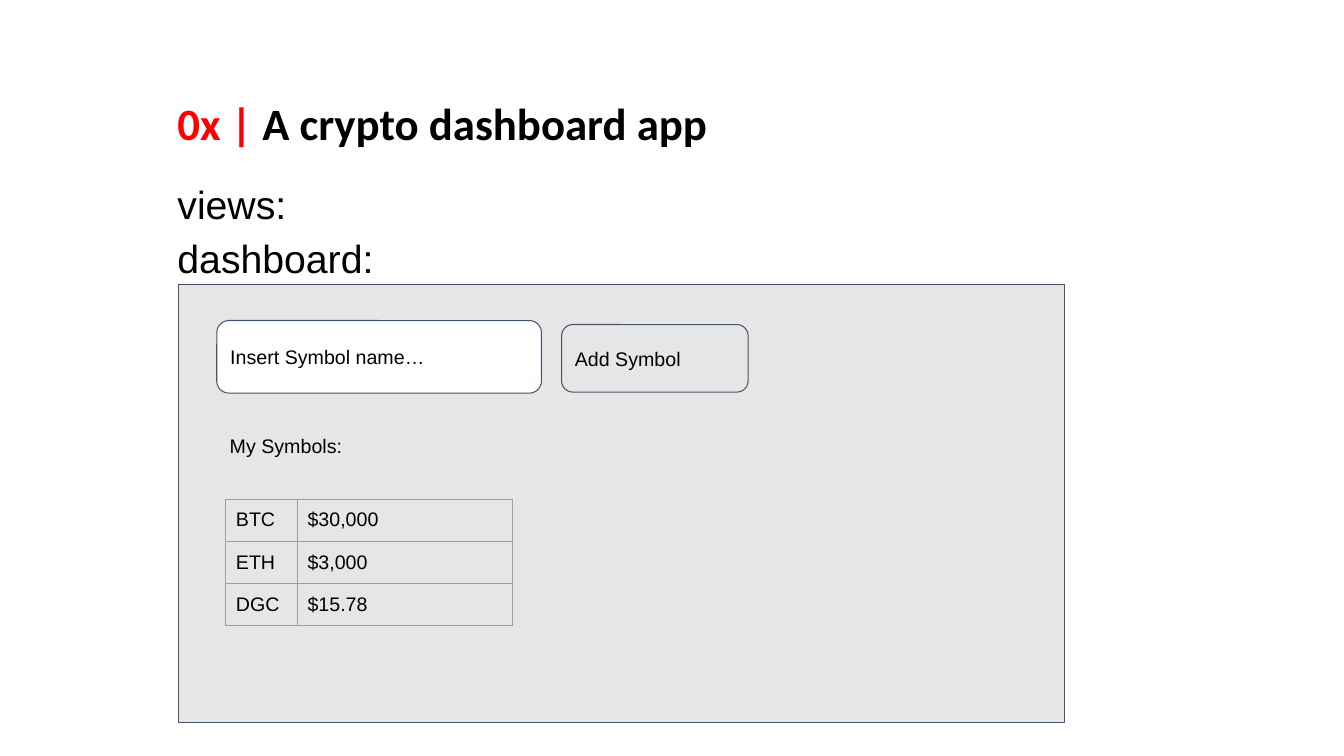
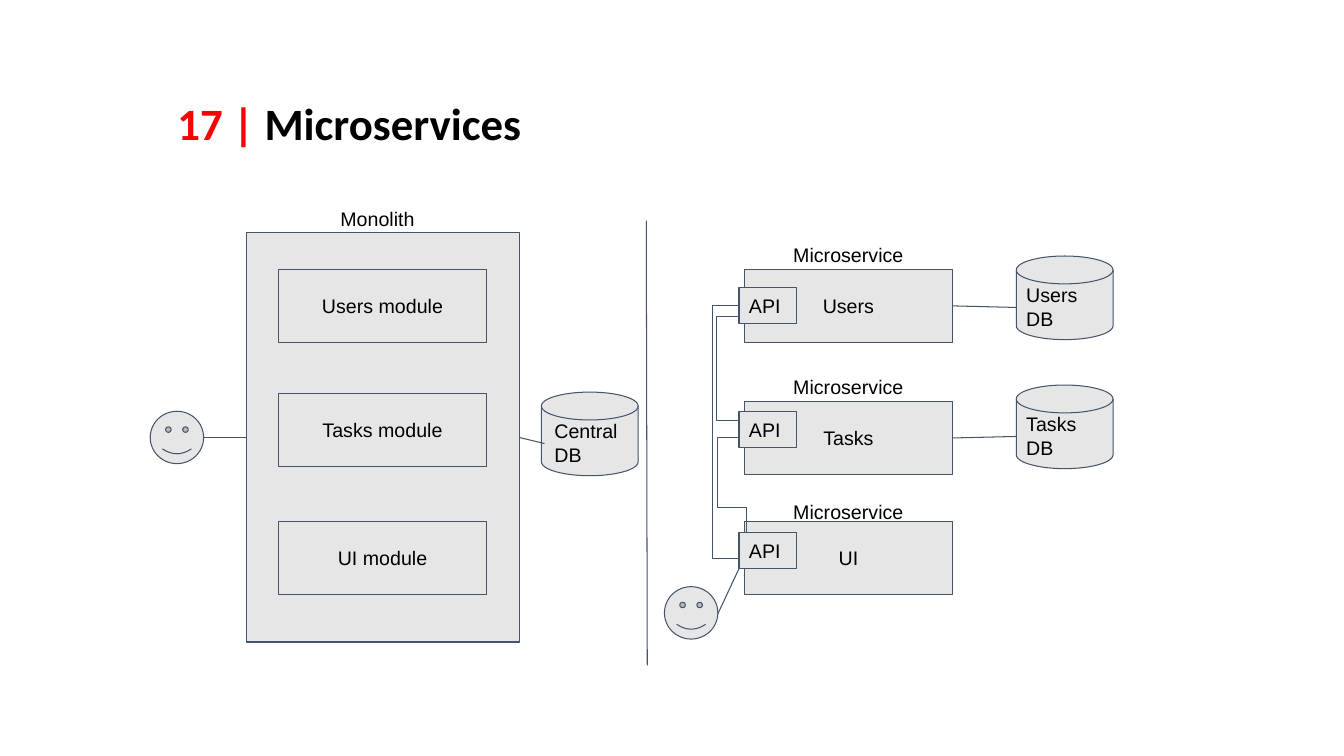
from lxml import etree
from pptx import Presentation
from pptx.dml.color import RGBColor
from pptx.enum.shapes import MSO_CONNECTOR, MSO_SHAPE
from pptx.enum.text import MSO_ANCHOR, MSO_AUTO_SIZE, PP_ALIGN
from pptx.oxml.ns import qn
from pptx.util import Emu, Pt

PX = 9144
RED = RGBColor(0xFF, 0x00, 0x00)
BLACK = RGBColor(0x00, 0x00, 0x00)
WHITE = RGBColor(0xFF, 0xFF, 0xFF)
GRAY = RGBColor(0xE7, 0xE6, 0xE6)
SLATE = RGBColor(0x44, 0x54, 0x6A)
GRID = RGBColor(0x9E, 0x9E, 0x9E)
RECT, ROUND = MSO_SHAPE.RECTANGLE, MSO_SHAPE.ROUNDED_RECTANGLE
DISK, SMILEY = MSO_SHAPE.FLOWCHART_MAGNETIC_DISK, MSO_SHAPE.SMILEY_FACE
STRAIGHT, ELBOW = MSO_CONNECTOR.STRAIGHT, MSO_CONNECTOR.ELBOW
LEFT, CENTER = PP_ALIGN.LEFT, PP_ALIGN.CENTER
TOP, MIDDLE = MSO_ANCHOR.TOP, MSO_ANCHOR.MIDDLE
NO_FIT = MSO_AUTO_SIZE.NONE
SITE_LEFT, SITE_RIGHT = 1, 3

LABEL_FONT = {"name": "Arial", "size": Pt(14)}
BODY_FONT = {"name": "Arial", "size": Pt(28)}
TITLE_FONT = {"name": "Calibri", "size": Pt(32), "bold": True}
LINE_WIDTH = Pt(0.75)
CONTENT_LAYOUT, TITLE_LAYOUT = 1, 5
TITLE_BOX = (166, 96, 1000, 67)
PERSON = (53, 52)
DISK_SIZE = (96, 83)
MODULE_SIZE = (207, 73)


def emu(*lengths):
    return [Emu(length * PX) for length in lengths]


def apply(target, values):
    for name, value in values.items():
        setattr(target, name, value)


def place(shape, box):
    apply(shape, dict(zip(("left", "top", "width", "height"), emu(*box))))


def set_frame(frame, anchor, inset=10):
    side, edge = emu(10, inset)
    apply(frame, {"word_wrap": True, "auto_size": NO_FIT, "vertical_anchor": anchor,
                  "margin_left": side, "margin_right": side,
                  "margin_top": edge, "margin_bottom": edge})


def write(para, text, font, color=BLACK):
    span = para.add_run()
    span.text = text
    apply(span.font, font)
    span.font.color.rgb = color


def add_label(page, box, text, align=LEFT):
    label = page.shapes.add_textbox(*emu(*box))
    set_frame(label.text_frame, TOP)
    para = label.text_frame.paragraphs[0]
    para.alignment = align
    write(para, text, LABEL_FONT)


def add_block(page, kind, box, text="", align=LEFT, fill=GRAY, outlined=True):
    block = page.shapes.add_shape(kind, *emu(*box))
    block.shadow.inherit = False
    block.fill.solid()
    block.fill.fore_color.rgb = fill
    if outlined:
        block.line.color.rgb = SLATE
        block.line.width = LINE_WIDTH
    else:
        block.line.fill.background()
    if text:
        set_frame(block.text_frame, MIDDLE)
        para = block.text_frame.paragraphs[0]
        para.alignment = align
        write(para, text, LABEL_FONT)
    return block


def add_line(page, start, finish, kind=STRAIGHT):
    line = page.shapes.add_connector(kind, *emu(*start, *finish))
    line.line.color.rgb = SLATE
    line.line.width = LINE_WIDTH
    etree.SubElement(line.element.spPr, qn("a:effectLst"))
    return line


def add_elbow(page, start, finish, bend):
    line = add_line(page, start, finish, ELBOW)
    geometry = line.element.spPr.find(qn("a:prstGeom"))
    guides = geometry.find(qn("a:avLst"))
    if guides is None:
        guides = etree.SubElement(geometry, qn("a:avLst"))
    ratio = round((bend - start[0]) / (finish[0] - start[0]) * 100000)
    etree.SubElement(guides, qn("a:gd"), name="adj1", fmla=f"val {ratio}")


def add_page(deck, layout, number, title):
    page = deck.slides.add_slide(deck.slide_layouts[layout])
    heading = page.shapes.title
    place(heading, TITLE_BOX)
    set_frame(heading.text_frame, TOP, 5)
    para = heading.text_frame.paragraphs[0]
    apply(para, {"alignment": LEFT, "line_spacing": 0.9})
    write(para, f"{number} | ", TITLE_FONT, RED)
    write(para, title, TITLE_FONT)
    return page


def fill_body(page, box, lines):
    body = page.placeholders[1]
    place(body, box)
    frame = body.text_frame
    set_frame(frame, TOP)
    for index, text in enumerate(lines):
        para = frame.paragraphs[0] if index == 0 else frame.add_paragraph()
        properties = para._p.get_or_add_pPr()
        properties.set("marL", "0")
        properties.set("indent", "0")
        etree.SubElement(properties, qn("a:buNone"))
        apply(para, {"alignment": LEFT, "line_spacing": 1.15, "space_before": Pt(0)})
        write(para, text, BODY_FONT)


def set_borders(cell):
    properties = cell._tc.get_or_add_tcPr()
    for index, side in enumerate(("lnL", "lnR", "lnT", "lnB")):
        border = etree.Element(qn(f"a:{side}"), w=str(LINE_WIDTH))
        solid = etree.SubElement(border, qn("a:solidFill"))
        etree.SubElement(solid, qn("a:srgbClr"), val=str(GRID))
        properties.insert(index, border)


def add_prices(page, left, top, rows, widths=(71, 213), height=42):
    box = (left, top, sum(widths), height * len(rows))
    table = page.shapes.add_table(len(rows), len(widths), *emu(*box)).table
    apply(table, {"first_row": False, "horz_banding": False})
    inset = Emu(10 * PX)
    for column, width in zip(table.columns, widths):
        column.width = Emu(width * PX)
    for row, texts in zip(table.rows, rows):
        row.height = Emu(height * PX)
        for cell, text in zip(row.cells, texts):
            apply(cell, dict.fromkeys(
                ("margin_left", "margin_right", "margin_top", "margin_bottom"), inset))
            cell.fill.background()
            set_borders(cell)
            write(cell.text_frame.paragraphs[0], text, LABEL_FONT)


def add_dashboard(page, left, top, width, height):
    add_block(page, RECT, (left, top, width, height))
    add_block(page, ROUND, (left + 38, top + 36, 322, 72), "Insert Symbol name…", fill=WHITE)
    add_block(page, ROUND, (left + 380, top + 40, 185, 67), "Add Symbol")
    add_block(page, RECT, (left + 41, top + 132, 322, 57), "My Symbols:", outlined=False)
    add_prices(page, left + 47, top + 213,
               [("BTC", "$30,000"), ("ETH", "$3,000"), ("DGC", "$15.78")])


def add_database(page, left, top, text, shift=0):
    add_block(page, DISK, (left, top, *DISK_SIZE))
    add_label(page, (left + shift, top + 17, 96, 67), text)


def add_monolith(page, left, top, width, height):
    middle = top + height // 2
    monolith = add_block(page, RECT, (left, top, width, height))
    add_label(page, (left + 27, top - 36, 207, 44), "Monolith", CENTER)
    for offset, name in ((36, "Users"), (159, "Tasks"), (286, "UI")):
        add_block(page, RECT, (left + 32, top + offset, *MODULE_SIZE), f"{name} module", CENTER)
    add_database(page, left + width + 22, top + 158, "Central DB", 3)
    link = add_line(page, (left + width, middle), (left + width + 25, middle + 6))
    link.begin_connect(monolith, SITE_RIGHT)
    add_block(page, SMILEY, (left - 95, middle - 26, *PERSON))
    link = add_line(page, (left - 42, middle), (left, middle))
    link.end_connect(monolith, SITE_LEFT)


def add_service(page, left, top, name, label_rise, database_rise):
    width, height = MODULE_SIZE
    service = add_block(page, RECT, (left, top, width, height), name, CENTER)
    add_label(page, (left, top - label_rise, width, 44), "Microservice", CENTER)
    if database_rise:
        disk_left, disk_top = left + 270, top - database_rise
        add_database(page, disk_left, disk_top, f"{name} DB")
        link = add_line(page, (left + width, top + height // 2), (disk_left, disk_top + 51))
        link.begin_connect(service, SITE_RIGHT)


def add_microservices(page, left, top):
    services = (("Users", 0, 36, 13, 18), ("Tasks", 131, 36, 16, 10), ("UI", 250, 31, 0, 11))
    for name, offset, label_rise, database_rise, _ in services:
        add_service(page, left, top + offset, name, label_rise, database_rise)
    for start, finish, bend in ((287, 36, -31), (150, 47, -27), (167, 236, -26)):
        add_elbow(page, (left, top + start), (left + 2, top + finish), left + bend)
    add_line(page, (left + 2, top + 236), (left + 2, top + 269))
    for _, offset, _, _, drop in services:
        add_block(page, RECT, (left - 5, top + offset + drop, 57, 36), "API")
    add_block(page, SMILEY, (left - 79, top + 315, *PERSON))
    add_line(page, (left - 26, top + 342), (left - 5, top + 297))


def main():
    deck = Presentation()
    deck.slide_width, deck.slide_height = emu(1333, 750)

    page = add_page(deck, CONTENT_LAYOUT, "0x", "A crypto dashboard app")
    fill_body(page, (166, 162, 932, 580), ["views:", "dashboard:"])
    add_dashboard(page, 177, 282, 879, 435)

    page = add_page(deck, TITLE_LAYOUT, "17", "Microservices")
    add_line(page, (641, 219), (642, 660))
    add_monolith(page, 244, 231, 271, 406)
    add_microservices(page, 738, 267)

    deck.save("out.pptx")


if __name__ == "__main__":
    main()
